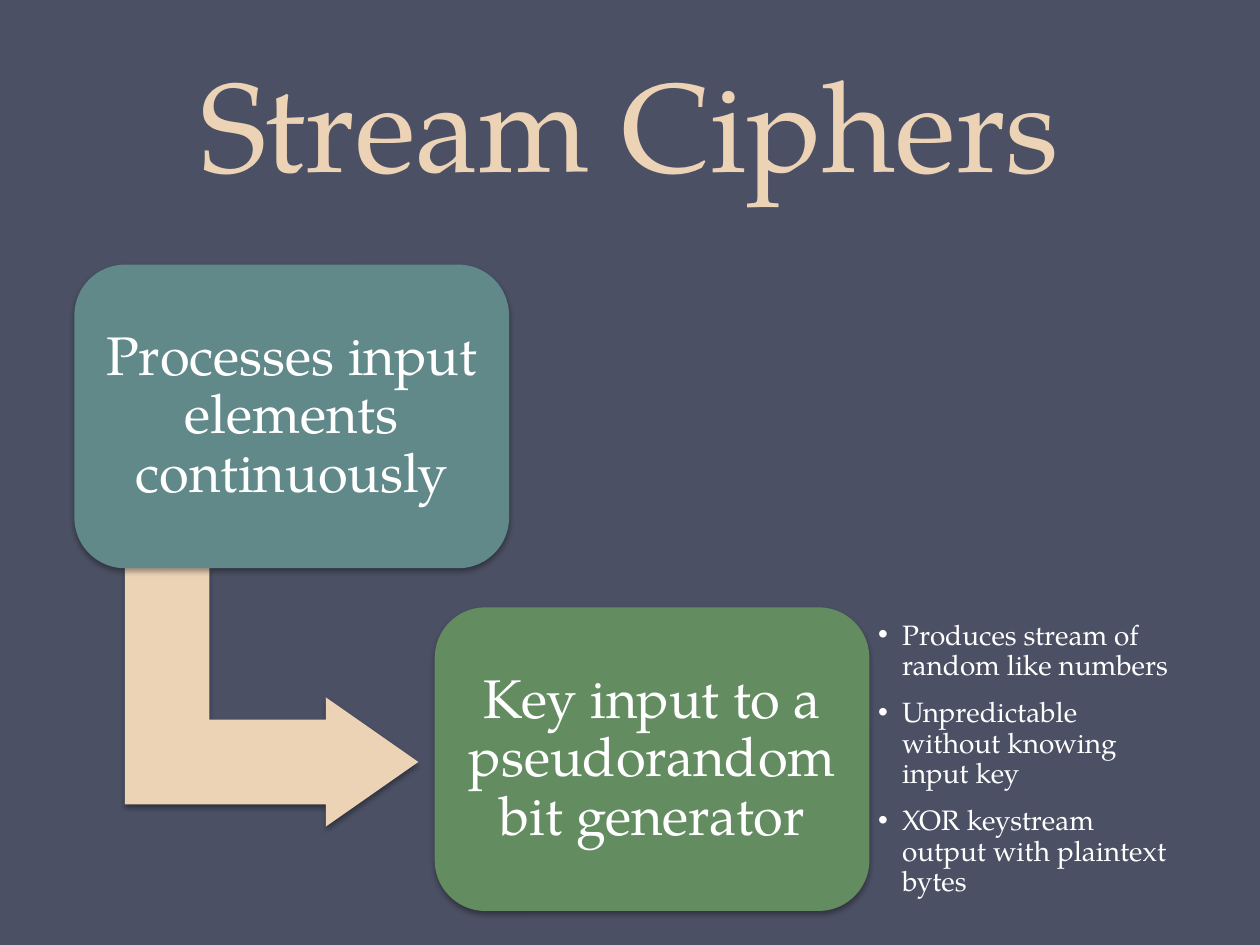
from lxml.etree import SubElement
from pptx import Presentation
from pptx.dml.color import RGBColor
from pptx.enum.shapes import MSO_SHAPE
from pptx.enum.text import MSO_ANCHOR, MSO_AUTO_SIZE, PP_ALIGN
from pptx.oxml.ns import qn
from pptx.util import Inches, Pt

FONT = "TeX Gyre Pagella"
SAND, WHITE = "EDD3B6", "FFFFFF"


def paint(color_format, hex_color):
    color_format.rgb = RGBColor.from_string(hex_color)


def add_block(kind, place, color, adjustments):
    """Add a filled shape without outline and with a soft shadow below it."""
    shape = slide.shapes.add_shape(kind, *map(Inches, place))
    for index, value in enumerate(adjustments):
        shape.adjustments[index] = value
    shape.fill.solid()
    paint(shape.fill.fore_color, color)
    shape.line.fill.background()
    shape.shadow.inherit = False
    effects = shape._element.spPr.find(qn("a:effectLst"))
    shadow = SubElement(effects, qn("a:outerShdw"), blurRad=str(Pt(3.1)),
                        dist=str(Pt(1.8)), dir="5400000", rotWithShape="0")
    shadow_color = SubElement(shadow, qn("a:srgbClr"), val="000000")
    SubElement(shadow_color, qn("a:alpha"), val="35000")
    return shape


presentation = Presentation()
presentation.slide_width, presentation.slide_height = Inches(10), Inches(7.5)
slide = presentation.slides.add_slide(presentation.slide_layouts[1])
slide.background.fill.solid()
paint(slide.background.fill.fore_color, "4B5064")

# Title
title = slide.shapes.title
title.left, title.top, title.width, title.height = map(Inches, (0.5, 0, 9, 1.62))
title.text_frame.text = "Stream Ciphers"
title.text_frame.auto_size = MSO_AUTO_SIZE.NONE
title.text_frame.vertical_anchor = MSO_ANCHOR.BOTTOM
paragraph = title.text_frame.paragraphs[0]
paragraph.alignment = PP_ALIGN.CENTER
paragraph.line_spacing = Pt(58)
paragraph.font.size, paragraph.font.name = Pt(72), FONT
paint(paragraph.font.color, SAND)

# Arrow between the steps, starting behind the first one
arrow = add_block(MSO_SHAPE.BENT_UP_ARROW, (1.13, 4.37, 2.05, 2.33), SAND,
                  (0.328, 0.25, 0.358))
arrow.rotation = 90

# Steps, each one further right and down
steps = [("Processes input elements continuously", "61898A"),
         ("Key input to a pseudorandom bit generator", "648C61")]
for index, (text, color) in enumerate(steps):
    place = (0.59 + 2.86 * index, 2.1 + 2.72 * index, 3.45, 2.41)
    step = add_block(MSO_SHAPE.ROUNDED_RECTANGLE, place, color, (0.167,))
    frame = step.text_frame
    frame.text = text
    frame.word_wrap = True
    frame.vertical_anchor = MSO_ANCHOR.MIDDLE
    frame.margin_left = frame.margin_right = Inches(0.13)
    frame.margin_top = frame.margin_bottom = Inches(0.13)
    paragraph = frame.paragraphs[0]
    paragraph.alignment = PP_ALIGN.CENTER
    paragraph.line_spacing = 0.9
    paragraph.font.size, paragraph.font.name = Pt(31), FONT
    paint(paragraph.font.color, WHITE)

# Details of the second step
details = slide.placeholders[1]
details.left, details.top, details.width, details.height = map(
    Inches, (6.9, 5.05, 2.51, 1.95))
frame = details.text_frame
frame.text = "\n".join(["Produces stream of random like numbers",
                        "Unpredictable without knowing input key",
                        "XOR keystream output with plaintext bytes"])
frame.auto_size = MSO_AUTO_SIZE.NONE
frame.vertical_anchor = MSO_ANCHOR.MIDDLE
frame.margin_left = frame.margin_right = Inches(0.07)
frame.margin_top = frame.margin_bottom = Inches(0.07)
for paragraph in frame.paragraphs:
    properties = paragraph._p.get_or_add_pPr()
    properties.set("marL", str(Inches(0.19)))
    properties.set("indent", str(-Inches(0.19)))
    SubElement(properties, qn("a:buChar"), char="•")
    paragraph.line_spacing = 0.9
    paragraph.space_before, paragraph.space_after = Pt(0), Pt(9.9)
    paragraph.font.size, paragraph.font.name = Pt(16), FONT
    paint(paragraph.font.color, WHITE)

presentation.save("out.pptx")
